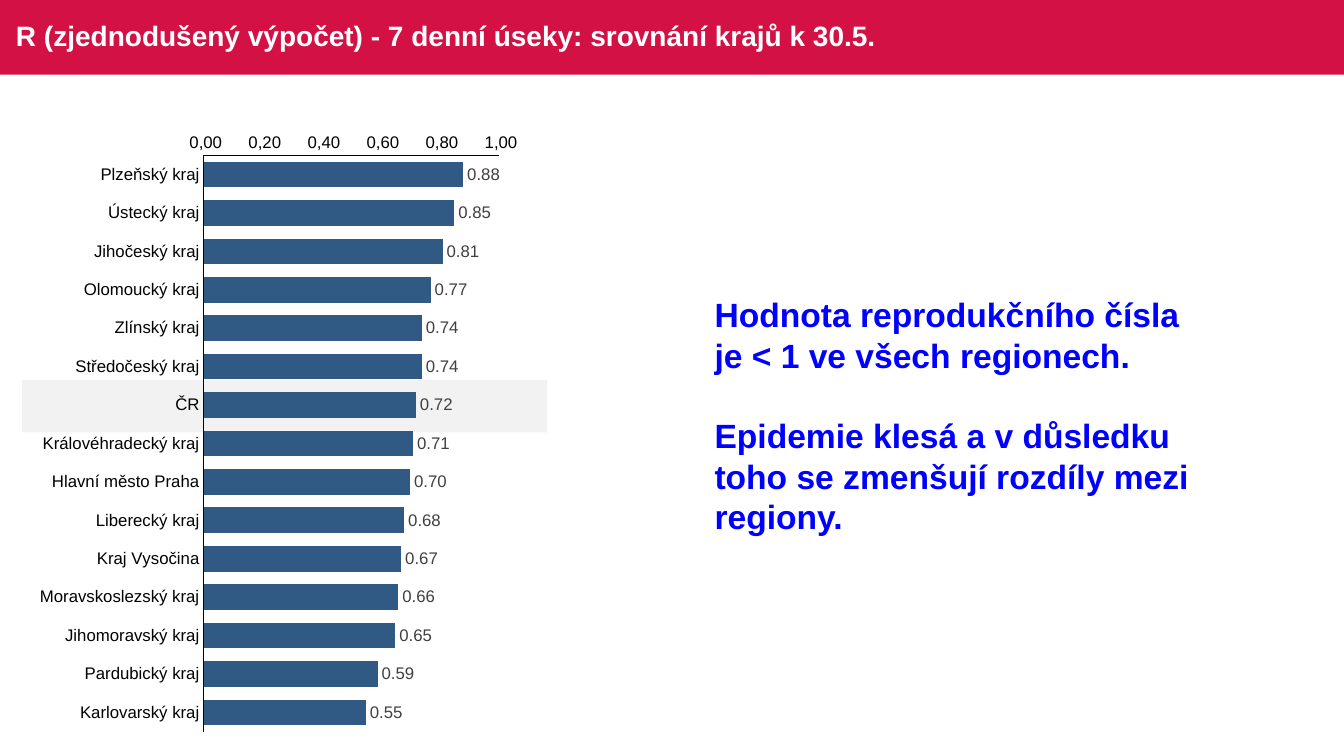
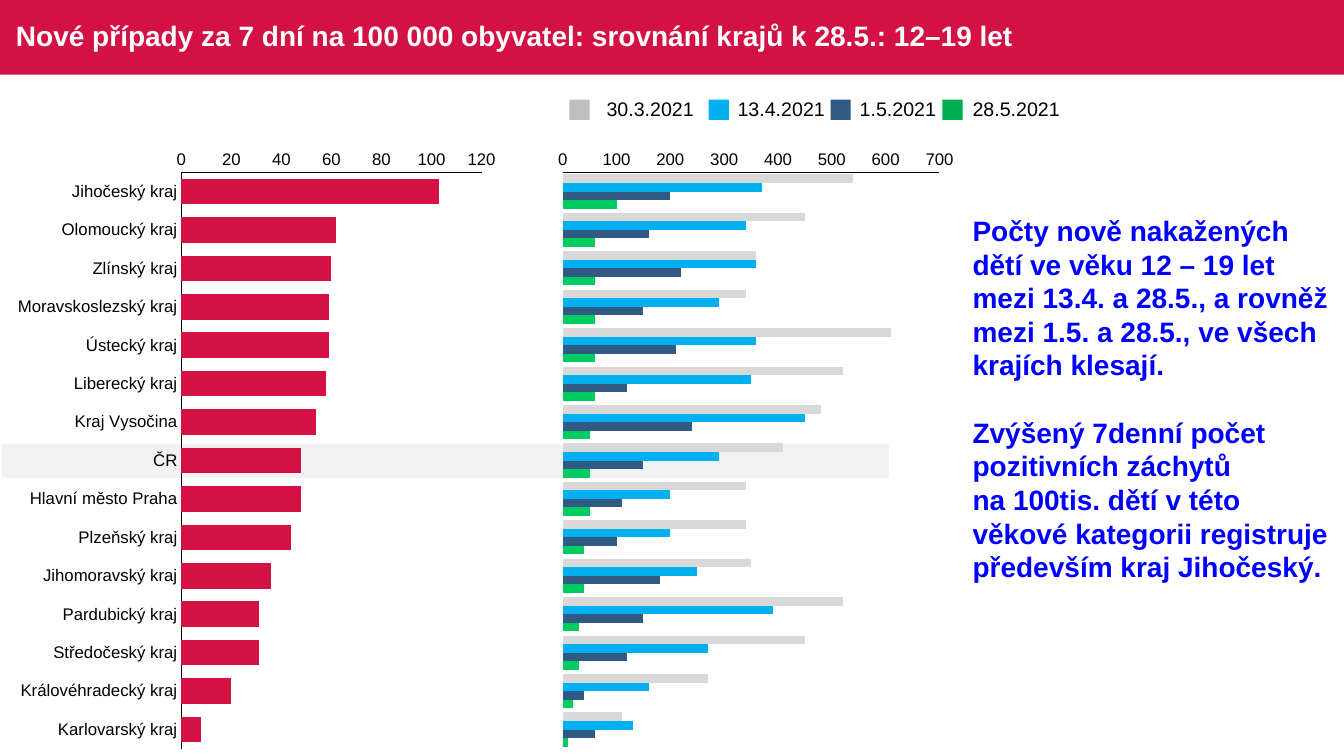
from lxml.etree import SubElement
from pptx import Presentation
from pptx.chart.data import CategoryChartData as ChartData
from pptx.dml.color import RGBColor as Color
from pptx.enum.chart import XL_CHART_TYPE as Kind, XL_LABEL_POSITION as Spot, XL_TICK_MARK as Tick
from pptx.enum.shapes import MSO_SHAPE as Shape
from pptx.enum.text import MSO_ANCHOR as Anchor
from pptx.oxml.ns import qn
from pptx.util import Pt

RED = Color(0xD3, 0x11, 0x45)
NAVY = Color(0x30, 0x59, 0x83)
SKY = Color(0x00, 0xB0, 0xF0)
GREEN = Color(0x00, 0xCD, 0x61)
LEAF = Color(0x00, 0xB0, 0x50)
PALE = Color(0xF2, 0xF2, 0xF2)
LIGHT = Color(0xD9, 0xD9, 0xD9)
SILVER = Color(0xBF, 0xBF, 0xBF)
GREY = Color(0x40, 0x40, 0x40)
BLUE = Color(0x00, 0x00, 0xFF)
BLACK = Color(0x00, 0x00, 0x00)
WHITE = Color(0xFF, 0xFF, 0xFF)

FACE = "Arial"
WIDE, HIGH = 960, 540
BAND = 53.3
PLOT_TOP, PLOT_HIGH = 0.055, 0.924

RATES = {
    "Plzeňský kraj": 0.88, "Ústecký kraj": 0.85, "Jihočeský kraj": 0.81,
    "Olomoucký kraj": 0.77, "Zlínský kraj": 0.74, "Středočeský kraj": 0.74,
    "ČR": 0.72, "Královéhradecký kraj": 0.71, "Hlavní město Praha": 0.70,
    "Liberecký kraj": 0.68, "Kraj Vysočina": 0.67, "Moravskoslezský kraj": 0.66,
    "Jihomoravský kraj": 0.65, "Pardubický kraj": 0.59, "Karlovarský kraj": 0.55,
}
CASES = {
    "Jihočeský kraj": 103, "Olomoucký kraj": 62, "Zlínský kraj": 60,
    "Moravskoslezský kraj": 59, "Ústecký kraj": 59, "Liberecký kraj": 58,
    "Kraj Vysočina": 54, "ČR": 48, "Hlavní město Praha": 48,
    "Plzeňský kraj": 44, "Jihomoravský kraj": 36, "Pardubický kraj": 31,
    "Středočeský kraj": 31, "Královéhradecký kraj": 20, "Karlovarský kraj": 8,
}
TREND = [
    ("30.3.2021", LIGHT, [540, 450, 360, 340, 610, 520, 480, 410, 340, 340, 350, 520, 450, 270, 110]),
    ("13.4.2021", SKY, [370, 340, 360, 290, 360, 350, 450, 290, 200, 200, 250, 390, 270, 160, 130]),
    ("1.5.2021", NAVY, [200, 160, 220, 150, 210, 120, 240, 150, 110, 100, 180, 150, 120, 40, 60]),
    ("28.5.2021", GREEN, [100, 60, 60, 60, 60, 60, 50, 50, 50, 40, 40, 30, 30, 20, 10]),
]
MARKS = [
    ("30.3.2021", SILVER, 0, 19.4),
    ("13.4.2021", SKY, 99.4, 113),
    ("1.5.2021", NAVY, 186.5, 200.2),
    ("28.5.2021", LEAF, 266.4, 280.8),
]


def style(font, size, color, bold=False):
    """Set face, size, colour and weight of a font."""
    font.name, font.size, font.bold = FACE, Pt(size), bold
    font.color.rgb = color


def block(slide, box, color):
    """Draw a plain filled rectangle."""
    shape = slide.shapes.add_shape(Shape.RECTANGLE, *map(Pt, box))
    shape.shadow.inherit = False
    shape.fill.solid()
    shape.fill.fore_color.rgb = color
    shape.line.fill.background()


def write(slide, box, paras, size, color, bold=False, lead=None, anchor=Anchor.TOP):
    """Place wrapped paragraphs, one line apart; a newline is a line break."""
    frame = slide.shapes.add_textbox(*map(Pt, box)).text_frame
    frame.word_wrap = True
    frame.vertical_anchor = anchor
    for i, text in enumerate(paras):
        para = frame.add_paragraph() if i else frame.paragraphs[0]
        para.line_spacing = lead
        if i:
            para.space_before = lead
        for j, line in enumerate(text.split("\n")):
            if j:
                para.add_line_break()
            run = para.add_run()
            run.text = line
            style(run.font, size, color, bold)


def start(deck, title):
    """Add a blank slide with the red title band."""
    slide = deck.slides.add_slide(deck.slide_layouts[6])
    block(slide, (0, 0, WIDE, BAND), RED)
    write(slide, (4.3, 0, 865, BAND), [title], 20, WHITE, True, 0.9, Anchor.MIDDLE)
    return slide


def note(slide, box, paras, size):
    """Write the bold blue comment beside the charts."""
    write(slide, box, paras, size, BLUE, True, Pt(1.2 * size))


def trim(axis):
    """Give an axis a thin black line, no ticks and no grid."""
    axis.has_major_gridlines = False
    axis.major_tick_mark = axis.minor_tick_mark = Tick.NONE
    axis.format.line.color.rgb = BLACK
    axis.format.line.width = Pt(0.75)
    style(axis.tick_labels.font, 12, BLACK)


def fix_plot(chart, left, wide):
    """Pin the inner plot area to fractions of the chart."""
    area = chart.plots[0]._element.getparent()
    for old in area.findall(qn("c:layout")):
        area.remove(old)
    layout = SubElement(area, qn("c:layout"))
    area.insert(0, layout)
    manual = SubElement(layout, qn("c:manualLayout"))
    parts = [("layoutTarget", "inner"), ("xMode", "edge"), ("yMode", "edge"),
             ("x", left), ("y", PLOT_TOP), ("w", wide), ("h", PLOT_HIGH)]
    for tag, val in parts:
        SubElement(manual, qn("c:" + tag)).set("val", str(val))


def bars(slide, box, cats, rows, top, step, plot):
    """Draw a bar chart that reads from the top down."""
    data = ChartData()
    data.categories = cats
    for name, _, vals in rows:
        data.add_series(name, vals)
    chart = slide.shapes.add_chart(Kind.BAR_CLUSTERED, *map(Pt, box), data).chart
    chart.has_title = chart.has_legend = False
    style(chart.font, 10, BLACK)
    trim(chart.category_axis)
    trim(chart.value_axis)
    chart.category_axis.reverse_order = True
    scale = chart.value_axis
    scale.minimum_scale, scale.maximum_scale, scale.major_unit = 0, top, step
    chart.plots[0].gap_width = 50
    chart.plots[0].vary_by_categories = False
    for series, (_, color, _) in zip(chart.plots[0].series, rows):
        series.format.fill.solid()
        series.format.fill.fore_color.rgb = color
    fix_plot(chart, *plot)
    return chart


def legend(slide, box):
    """Set the dated colour marks in a row."""
    left, top, size = box
    for name, color, mark, text in MARKS:
        block(slide, (left + mark, top + 5.2, size, size), color)
        write(slide, (left + text, top, 80, 24.5), [name], 14, BLACK)


def rate_slide(deck):
    """Compare the regions by reproduction number."""
    slide = start(deck, "R (zjednodušený výpočet) - 7 denní úseky: srovnání krajů k 30.5.")
    block(slide, (15.8, 271.4, 375.1, 37.4), PALE)
    rows = [("R", NAVY, list(RATES.values()))]
    chart = bars(slide, (21.6, 86.4, 355.7, 445.7), list(RATES), rows, 1, 0.2, (0.348, 0.593))
    ticks = chart.value_axis.tick_labels
    ticks.number_format = r"[$-10405]#\ ##0.00;\(#\ ##0.00\)"
    ticks.number_format_is_linked = False
    labels = chart.plots[0].series[0].data_labels
    labels.show_value = True
    labels.number_format = "#,##0.00"
    labels.number_format_is_linked = False
    labels.position = Spot.OUTSIDE_END
    style(labels.font, 12, GREY)
    note(slide, (503.3, 206.6, 366.5, 181.4), [
        "Hodnota reprodukčního čísla je < 1 ve všech regionech.",
        "Epidemie klesá a v důsledku toho se zmenšují rozdíly mezi regiony.",
    ], 24)


def case_slide(deck):
    """Compare the regions by new cases, now and over time."""
    slide = start(deck, "Nové případy za 7 dní na 100 000 obyvatel: srovnání krajů k 28.5.: 12–19 let")
    block(slide, (1.4, 317.5, 633.6, 23.8), PALE)
    top, high = 98.6, 445.7
    rows = [("28.5.2021", RED, list(CASES.values()))]
    bars(slide, (5.8, top, 355.7, high), list(CASES), rows, 120, 20, (0.348, 0.603))
    cats = [str(i + 1) for i in range(len(CASES))]
    chart = bars(slide, (393.1, top, 294.5, high), cats, TREND, 700, 100, (0.03, 0.914))
    chart.category_axis.visible = False
    note(slide, (687.6, 149, 270, 273.6), [
        "Počty nově nakažených dětí ve věku 12 – 19 let mezi 13.4. a 28.5., "
        "a rovněž mezi 1.5. a 28.5., ve všech krajích klesají.",
        "Zvýšený 7denní počet pozitivních záchytů \nna 100tis. dětí v této "
        "věkové kategorii registruje především kraj Jihočeský.",
    ], 20)
    legend(slide, (406.8, 66, 14.4))


def main():
    """Build and save the deck."""
    deck = Presentation()
    deck.slide_width, deck.slide_height = Pt(WIDE), Pt(HIGH)
    rate_slide(deck)
    case_slide(deck)
    deck.save("out.pptx")


if __name__ == "__main__":
    main()
